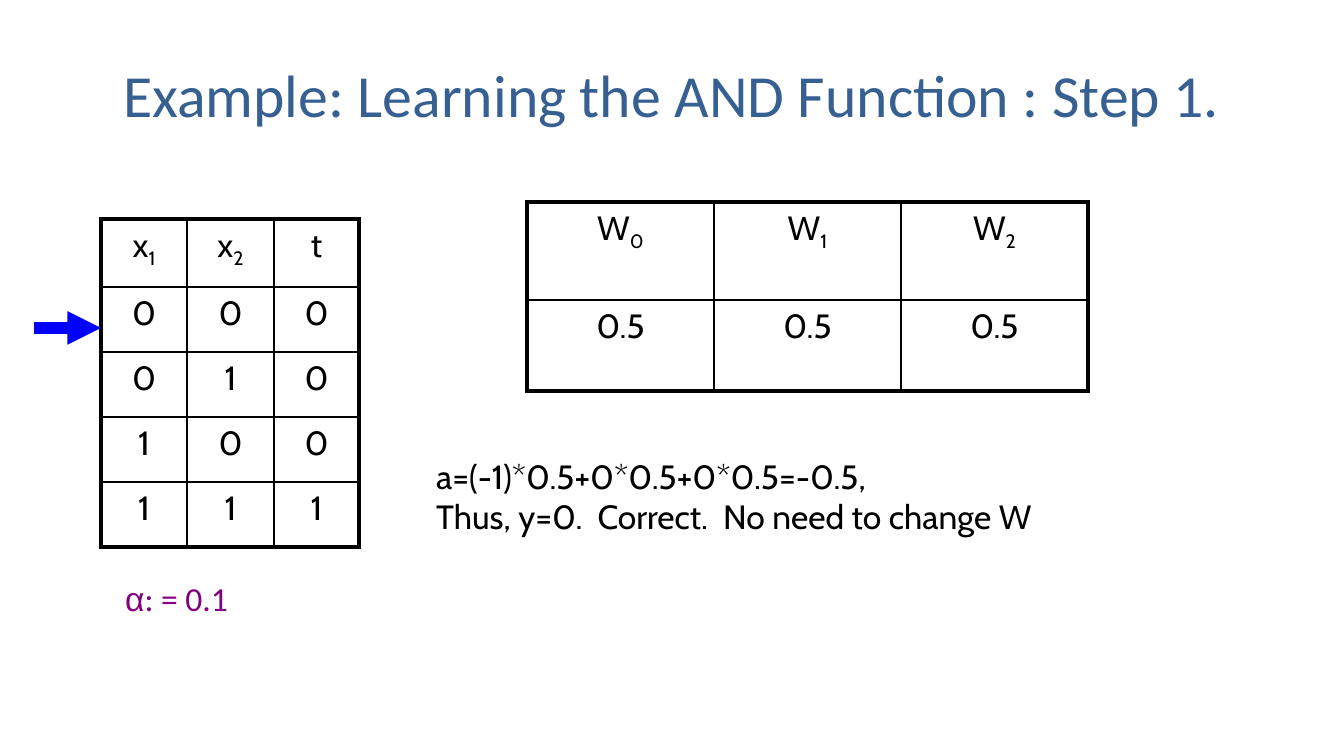
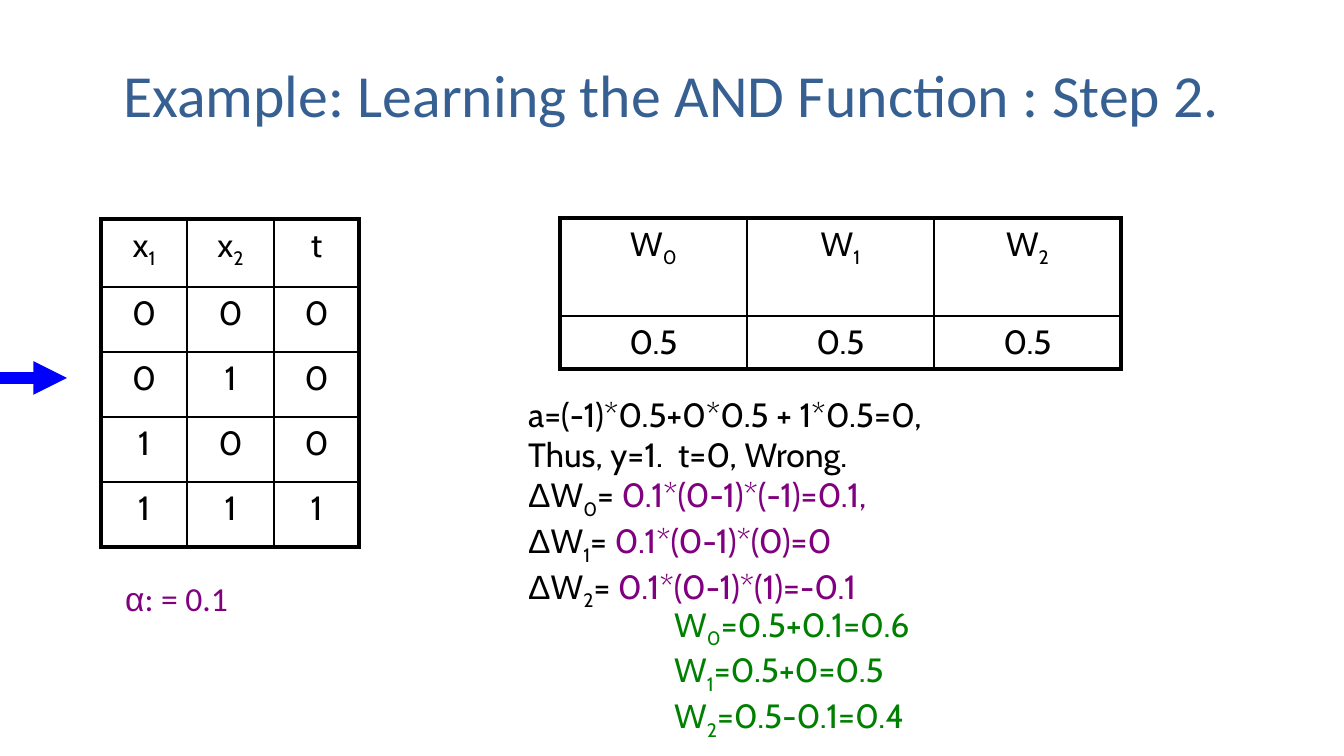
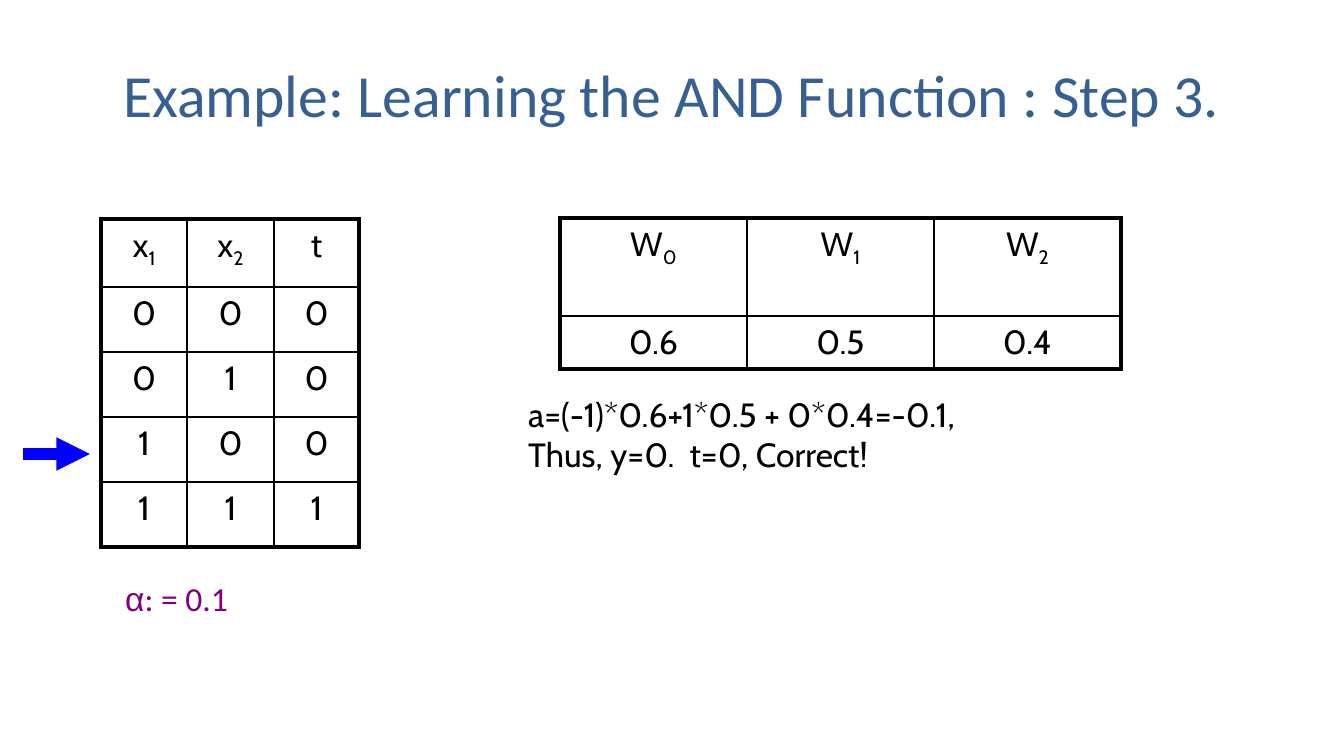
"""Build three slides that learn the AND function step by step."""
from dataclasses import dataclass

import lxml.etree
import pptx
import pptx.dml.color
import pptx.enum.shapes
import pptx.enum.text
import pptx.oxml.ns
import pptx.util

BLACK = pptx.dml.color.RGBColor(0x00, 0x00, 0x00)
TITLE_BLUE = pptx.dml.color.RGBColor(0x37, 0x60, 0x92)
ARROW_BLUE = pptx.dml.color.RGBColor(0x00, 0x00, 0xFF)
PURPLE = pptx.dml.color.RGBColor(0x80, 0x00, 0x80)
GREEN = pptx.dml.color.RGBColor(0x00, 0x80, 0x00)

PX_PER_INCH = 134.4
SLIDE_W, SLIDE_H = 1344, 756
TITLE_ONLY = 5
BREAK = "\n"
THICK, THIN = 2.25, 1
ARROW_LENGTH = 67


@dataclass(frozen=True)
class Run:
    text: str
    color: pptx.dml.color.RGBColor = BLACK
    font: str = "Cabin"
    size: int = 18
    sub: bool = False


Line = list[Run]


@dataclass(frozen=True)
class Box:
    x: int
    y: int
    w: int
    h: int


@dataclass(frozen=True)
class Note:
    box: Box
    lines: list[Line]
    wrap: bool = False


@dataclass(frozen=True)
class Grid:
    x: int
    y: int
    cols: list[int]
    rows: list[int]
    cells: list[list[Line]]


@dataclass(frozen=True)
class Step:
    number: int
    weights: Grid
    arrow_x: int
    arrow_y: int
    work: Note
    update: Note | None = None


def px(n: int) -> pptx.util.Emu:
    """Turn pixels into EMU."""
    return pptx.util.Emu(round(n * 914400 / PX_PER_INCH))


def indexed(name: str, index: int, color: pptx.dml.color.RGBColor = BLACK) -> Line:
    """Return a variable with its subscript."""
    return [Run(name, color), Run(str(index), color, sub=True)]


def plain(*texts: str) -> list[Line]:
    """Return one black single-run line for each text."""
    return [[Run(text)] for text in texts]


def delta(index: int, value: str) -> Line:
    """Return the line for the change of one weight."""
    return [Run("Δ", font="Arial"), *indexed("W", index), Run("= "), Run(value, PURPLE)]


def updated(index: int, value: str) -> Line:
    """Return the line for the new value of one weight."""
    return [*indexed("W", index, GREEN), Run(value, GREEN)]


def weight_grid(x: int, y: int, value_height: int, values: str) -> Grid:
    """Return the table of the three weights."""
    names = [indexed("W", i) for i in range(3)]
    return Grid(x, y, [187] * 3, [98, value_height], [names, plain(*values.split())])


def add_runs(p, line: Line) -> None:
    """Add formatted runs and line breaks to a paragraph."""
    for run in line:
        if run.text == BREAK:
            p.add_line_break()
            continue
        r = p.add_run()
        r.text = run.text
        r.font.name = run.font
        r.font.size = pptx.util.Pt(run.size)
        r.font.color.rgb = run.color
        if run.sub:
            r._r.get_or_add_rPr().set("baseline", "-25000")


def place(sp, box: Box) -> None:
    """Move and size a shape."""
    sp.left, sp.top, sp.width, sp.height = map(px, (box.x, box.y, box.w, box.h))


def add_title(s, text: str) -> None:
    """Fill the title placeholder."""
    sp = s.shapes.title
    place(sp, Box(67, 31, 1210, 126))
    tf = sp.text_frame
    tf.vertical_anchor = pptx.enum.text.MSO_ANCHOR.MIDDLE
    p = tf.paragraphs[0]
    p.alignment = pptx.enum.text.PP_ALIGN.CENTER
    add_runs(p, [Run(text, TITLE_BLUE, "Calibri", 32)])


def add_note(s, note: Note) -> None:
    """Add a text box with one paragraph for each line."""
    box = note.box
    tf = s.shapes.add_textbox(px(box.x), px(box.y), px(box.w), px(box.h)).text_frame
    tf.word_wrap = note.wrap
    tf.auto_size = pptx.enum.text.MSO_AUTO_SIZE.SHAPE_TO_FIT_TEXT
    for i, line in enumerate(note.lines):
        add_runs(tf.add_paragraph() if i else tf.paragraphs[0], line)


def set_border(cell, side: str, width: float) -> None:
    """Draw one black side of a cell."""
    qn = pptx.oxml.ns.qn
    tcPr = cell._tc.get_or_add_tcPr()
    ln = lxml.etree.SubElement(tcPr, qn(f"a:ln{side}"), w=str(int(pptx.util.Pt(width))))
    fill = lxml.etree.SubElement(ln, qn("a:solidFill"))
    lxml.etree.SubElement(fill, qn("a:srgbClr"), val=str(BLACK))


def add_grid(s, grid: Grid) -> None:
    """Add a table with a thick frame and thin inner lines."""
    n_rows, n_cols = len(grid.rows), len(grid.cols)
    table = s.shapes.add_table(n_rows, n_cols, px(grid.x), px(grid.y),
                               px(sum(grid.cols)), px(sum(grid.rows))).table
    table.first_row = table.horz_banding = False
    for col, width in zip(table.columns, grid.cols):
        col.width = px(width)
    for row, height in zip(table.rows, grid.rows):
        row.height = px(height)
    for i, line_row in enumerate(grid.cells):
        for j, line in enumerate(line_row):
            cell = table.cell(i, j)
            cell.margin_left = cell.margin_right = px(13)
            cell.margin_top = cell.margin_bottom = px(6)
            outer = {"L": j == 0, "R": j == n_cols - 1, "T": i == 0, "B": i == n_rows - 1}
            for side, is_outer in outer.items():
                set_border(cell, side, THICK if is_outer else THIN)
            cell.fill.background()
            p = cell.text_frame.paragraphs[0]
            p.alignment = pptx.enum.text.PP_ALIGN.CENTER
            p.space_before = pptx.util.Pt(3.6)
            add_runs(p, line)


def add_arrow(s, x: int, y: int) -> None:
    """Add the arrow that points at the current table row."""
    qn = pptx.oxml.ns.qn
    sp = s.shapes.add_connector(pptx.enum.shapes.MSO_CONNECTOR.STRAIGHT,
                                px(x), px(y), px(x + ARROW_LENGTH), px(y))
    sp.line.color.rgb = ARROW_BLUE
    sp.line.width = pptx.util.Pt(6)
    spPr = sp._element.spPr
    lxml.etree.SubElement(spPr.find(qn("a:ln")), qn("a:tailEnd"), type="triangle")
    lxml.etree.SubElement(spPr, qn("a:effectLst"))


TRUTH = Grid(101, 219, [86, 87, 85], [68] + [65] * 4, [
    [indexed("x", 1), indexed("x", 2), [Run("t")]],
    *[plain(str(a), str(b), str(a & b)) for a in (0, 1) for b in (0, 1)],
])
RATE = Note(Box(112, 571, 133, 54),
            [[Run("α", PURPLE, "Arial"), Run(": = 0.1", PURPLE, "Calibri")]])

STEPS = [
    Step(1, weight_grid(527, 202, 91, "0.5 0.5 0.5"), 34, 328,
         Note(Box(423, 449, 677, 95),
              plain("a=(-1)*0.5+0*0.5+0*0.5=-0.5,",
                    "Thus, y=0.  Correct.  No need to change W"))),
    Step(2, weight_grid(560, 218, 53, "0.5 0.5 0.5"), 0, 378,
         Note(Box(515, 387, 793, 218),
              [*plain("a=(-1)*0.5+0*0.5 + 1*0.5=0,", "Thus, y=1.  t=0, Wrong."),
               delta(0, "0.1*(0-1)*(-1)=0.1,"),
               delta(1, "0.1*(0-1)*(0)=0"),
               delta(2, "0.1*(0-1)*(1)=-0.1")], wrap=True),
         Note(Box(661, 597, 288, 136),
              [[*updated(0, "=0.5+0.1=0.6"), Run(BREAK), *updated(1, "=0.5+0=0.5")],
               updated(2, "=0.5-0.1=0.4")])),
    Step(3, weight_grid(560, 218, 53, "0.6 0.5 0.4"), 23, 454,
         Note(Box(515, 387, 793, 95),
              plain("a=(-1)*0.6+1*0.5 + 0*0.4=-0.1,", "Thus, y=0.  t=0, Correct!"),
              wrap=True)),
]


def add_step(prs, step: Step) -> None:
    """Add the slide for one learning step."""
    s = prs.slides.add_slide(prs.slide_layouts[TITLE_ONLY])
    add_title(s, f"Example: Learning the AND Function : Step {step.number}.")
    add_grid(s, TRUTH)
    add_grid(s, step.weights)
    add_note(s, step.work)
    add_arrow(s, step.arrow_x, step.arrow_y)
    add_note(s, RATE)
    if step.update:
        add_note(s, step.update)


def main() -> None:
    """Build and save the deck."""
    prs = pptx.Presentation()
    prs.slide_width, prs.slide_height = px(SLIDE_W), px(SLIDE_H)
    for step in STEPS:
        add_step(prs, step)
    prs.save("out.pptx")


if __name__ == "__main__":
    main()
